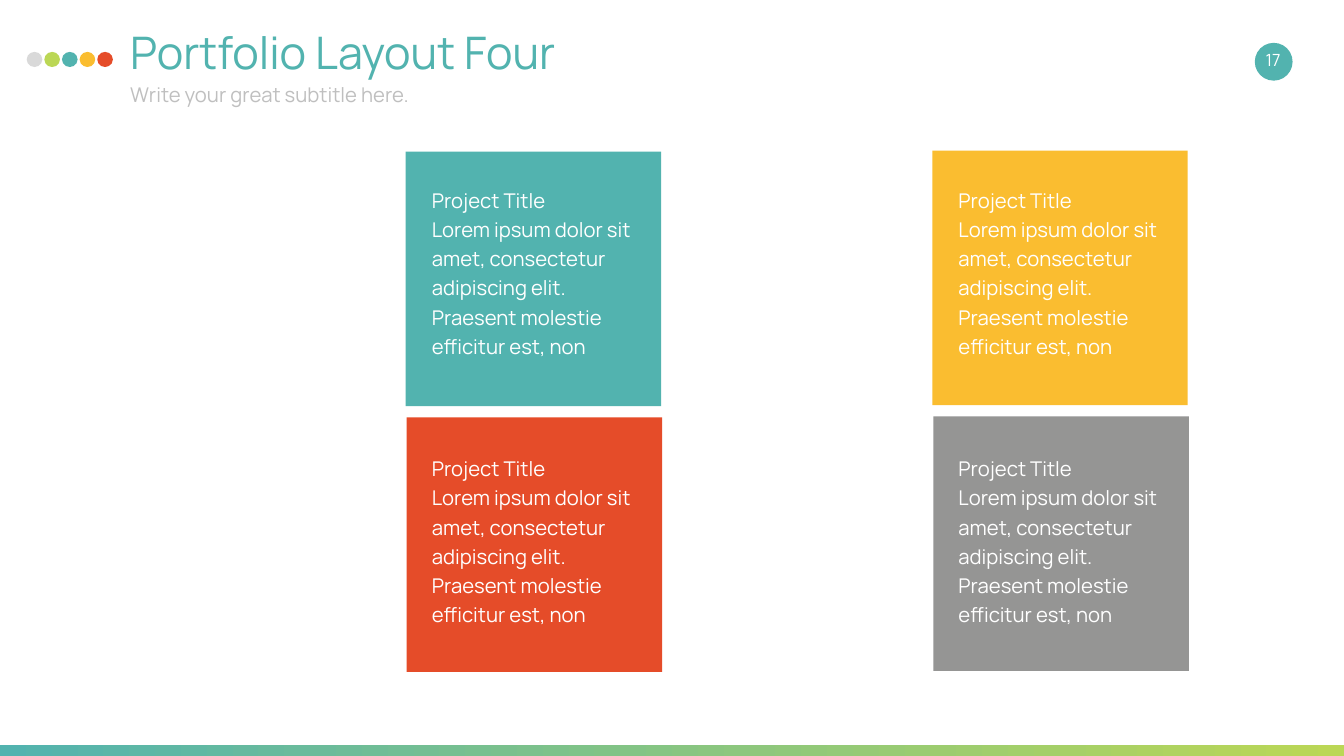
from dataclasses import dataclass
from itertools import product

from pptx import Presentation
from pptx.dml.color import RGBColor
from pptx.enum.shapes import MSO_SHAPE
from pptx.enum.text import MSO_ANCHOR, PP_ALIGN
from pptx.util import Inches, Pt

COLUMNS, ROWS = 26.67, 15
GRID_UNIT = Inches(1)


@dataclass(frozen=True)
class Theme:
    font: str = "Manrope"
    teal: str = "52B3AF"
    green: str = "BBD755"
    yellow: str = "FABD30"
    red: str = "E54C29"
    grey: str = "959594"
    pale: str = "D9D9D9"
    muted: str = "BFBFBF"
    white: str = "FFFFFF"
    title_size: int = 64
    body_size: int = 29
    number_size: int = 24


@dataclass(frozen=True)
class Box:
    left: float
    top: float
    width: float
    height: float

    def inner(self, left, top, width, height):
        return Box(self.left + left, self.top + top, width, height)

    def lengths(self):
        return [round(value * GRID_UNIT) for value in (self.left, self.top, self.width, self.height)]


THEME = Theme()


def add_block(shapes, kind, box, color):
    shape = shapes.add_shape(kind, *box.lengths())
    shape.shadow.inherit = False
    shape.fill.solid()
    shape.fill.fore_color.rgb = RGBColor.from_string(color)
    shape.line.fill.background()
    return shape


def add_text(slide, box, text, size, color, line_spacing=None, align=PP_ALIGN.LEFT, anchor=MSO_ANCHOR.TOP):
    text_frame = slide.shapes.add_textbox(*box.lengths()).text_frame
    text_frame.word_wrap = True
    text_frame.vertical_anchor = anchor
    text_frame.margin_left = text_frame.margin_right = Inches(0.27)
    text_frame.margin_top = text_frame.margin_bottom = Inches(0.13)
    text_frame.text = text
    for paragraph in text_frame.paragraphs:
        paragraph.alignment = align
        paragraph.line_spacing = line_spacing
        for run in paragraph.runs:
            run.font.name = THEME.font
            run.font.size = Pt(size)
            run.font.color.rgb = RGBColor.from_string(color)


def add_footer_bar(slide, box):
    bar = add_block(slide.shapes, MSO_SHAPE.RECTANGLE, box, THEME.teal)
    bar.fill.gradient()
    bar.fill.gradient_angle = 0
    for stop, color in zip(bar.fill.gradient_stops, (THEME.teal, THEME.green)):
        stop.color.rgb = RGBColor.from_string(color)


def add_header(slide, box):
    dots = slide.shapes.add_group_shape()
    dot_colors = (THEME.pale, THEME.green, THEME.teal, THEME.yellow, THEME.red)
    for index, color in enumerate(dot_colors):
        dot_box = box.inner(index * 0.35, 0.66, 0.31, 0.3)
        add_block(dots.shapes, MSO_SHAPE.OVAL, dot_box, color)
    add_text(slide, box.inner(1.78, 0, 21.25, 1.6), "Portfolio Layout Four",
             THEME.title_size, THEME.teal)
    add_text(slide, box.inner(1.78, 1.13, 21.25, 0.85), "Write your great subtitle here.",
             THEME.body_size, THEME.muted)


def add_page_number(slide, box):
    add_block(slide.shapes, MSO_SHAPE.OVAL, box, THEME.teal)
    add_text(slide, box.inner(-0.22, -0.07, 1.17, 0.8), "17", THEME.number_size, THEME.white,
             align=PP_ALIGN.CENTER, anchor=MSO_ANCHOR.MIDDLE)


def add_project_cards(slide, box):
    card_colors = (THEME.teal, THEME.yellow, THEME.red, THEME.grey)
    project_text = ("Project Title\nLorem ipsum dolor sit amet, consectetur adipiscing elit. "
                    "Praesent molestie efficitur est, non")
    for (row, column), color in zip(product(range(2), repeat=2), card_colors):
        card_box = box.inner(column * 10.45 + row * 0.02, row * 5.27 - column * 0.02, 5.07, 5.05)
        text_box = box.inner(0.25 + column * 10.45, 0.49 + row * 5.33, 4.6, 3.81)
        add_block(slide.shapes, MSO_SHAPE.RECTANGLE, card_box, color)
        add_text(slide, text_box, project_text, THEME.body_size, THEME.white, line_spacing=1.2)


def main():
    presentation = Presentation()
    presentation.slide_width = round(COLUMNS * GRID_UNIT)
    presentation.slide_height = ROWS * GRID_UNIT
    slide = presentation.slides.add_slide(presentation.slide_layouts[6])
    slide.background.fill.solid()
    slide.background.fill.fore_color.rgb = RGBColor.from_string(THEME.white)
    add_footer_bar(slide, Box(0, 14.79, COLUMNS, 0.38))
    add_header(slide, Box(0.53, 0.37, 23.03, 1.98))
    add_page_number(slide, Box(24.9, 0.85, 0.75, 0.75))
    add_project_cards(slide, Box(8.05, 3.01, 15.54, 10.32))
    presentation.save("out.pptx")


if __name__ == "__main__":
    main()
